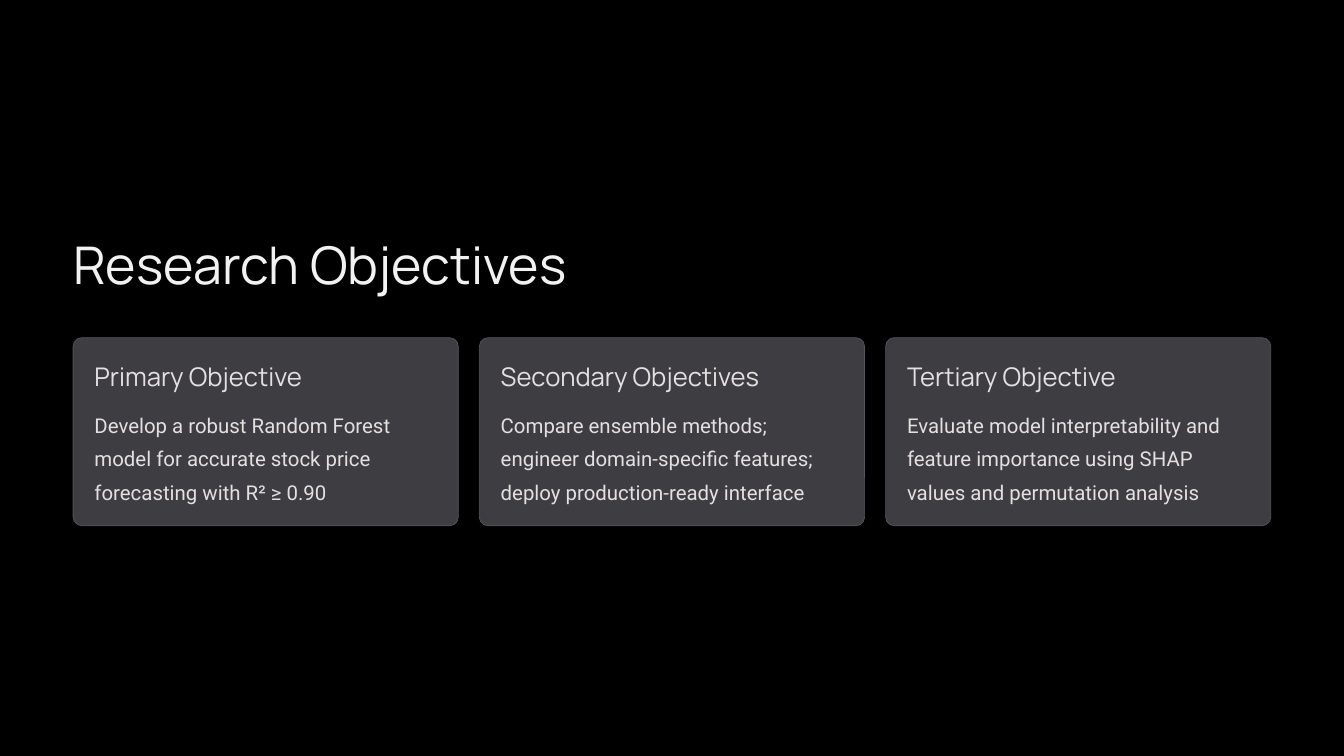
import dataclasses

import pptx
import pptx.dml.color
import pptx.enum.shapes
import pptx.enum.text
import pptx.util

WIDE, HIGH = 16, 9


@dataclasses.dataclass(frozen=True)
class Style:
    font: str
    size: float
    lead: float
    color: str


@dataclasses.dataclass(frozen=True)
class Theme:
    back: str = "000000"
    card: str = "3D3D42"
    edge: str = "56565B"
    title: Style = Style("Manrope", 44.5, 55.5, "F2F2F3")
    head: Style = Style("Manrope", 22, 27.5, "E5E0DF")
    body: Style = Style("Roboto", 17.5, 28.5, "E5E0DF")


THEME = Theme()

CARDS = [
    ("Primary Objective",
     "Develop a robust Random Forest model for accurate stock price "
     "forecasting with R² ≥ 0.90"),
    ("Secondary Objectives",
     "Compare ensemble methods; engineer domain-specific features; "
     "deploy production-ready interface"),
    ("Tertiary Objective",
     "Evaluate model interpretability and feature importance using SHAP "
     "values and permutation analysis"),
]


def paint(fill, color):
    fill.solid()
    fill.fore_color.rgb = pptx.dml.color.RGBColor.from_string(color)


def place(box):
    return [pptx.util.Inches(side) for side in box]


def write(slide, box, text, style, wrap=False):
    frame = slide.shapes.add_textbox(*place(box)).text_frame
    frame.margin_left = frame.margin_right = 0
    frame.margin_top = frame.margin_bottom = 0
    frame.word_wrap = wrap
    frame.auto_size = pptx.enum.text.MSO_AUTO_SIZE.NONE
    frame.text = text
    line = frame.paragraphs[0]
    line.line_spacing = pptx.util.Pt(style.lead)
    font = line.runs[0].font
    font.name = style.font
    font.size = pptx.util.Pt(style.size)
    paint(font.fill, style.color)


def card(slide, box, head, body):
    left, top, width, height = box
    kind = pptx.enum.shapes.MSO_SHAPE.ROUNDED_RECTANGLE
    panel = slide.shapes.add_shape(kind, *place(box))
    panel.adjustments[0] = 0.047
    panel.shadow.inherit = False
    paint(panel.fill, THEME.card)
    paint(panel.line.fill, THEME.edge)
    panel.line.width = pptx.util.Pt(0.6)

    pad = width / 18
    inner = width - 2 * pad
    write(slide, (left + pad, top + pad, inner, 0.175 * height),
          head, THEME.head)
    write(slide, (left + pad, top + 0.355 * height, inner, 0.53 * height),
          body, THEME.body, wrap=True)


def row(slide, box, cards, gap):
    left, top, width, height = box
    step = (width + gap) / len(cards)
    for col, (head, body) in enumerate(cards):
        card(slide, (left + col * step, top, step - gap, height), head, body)


def main():
    deck = pptx.Presentation()
    deck.slide_width = pptx.util.Inches(WIDE)
    deck.slide_height = pptx.util.Inches(HIGH)
    slide = deck.slides.add_slide(deck.slide_layouts[6])
    paint(slide.background.fill, THEME.back)

    edge = 0.87
    span = WIDE - 2 * edge
    write(slide, (edge, 2.74, span, 0.78), "Research Objectives", THEME.title)
    row(slide, (edge, 4.02, span, 2.24), CARDS, gap=0.25)
    deck.save("out.pptx")


if __name__ == "__main__":
    main()
